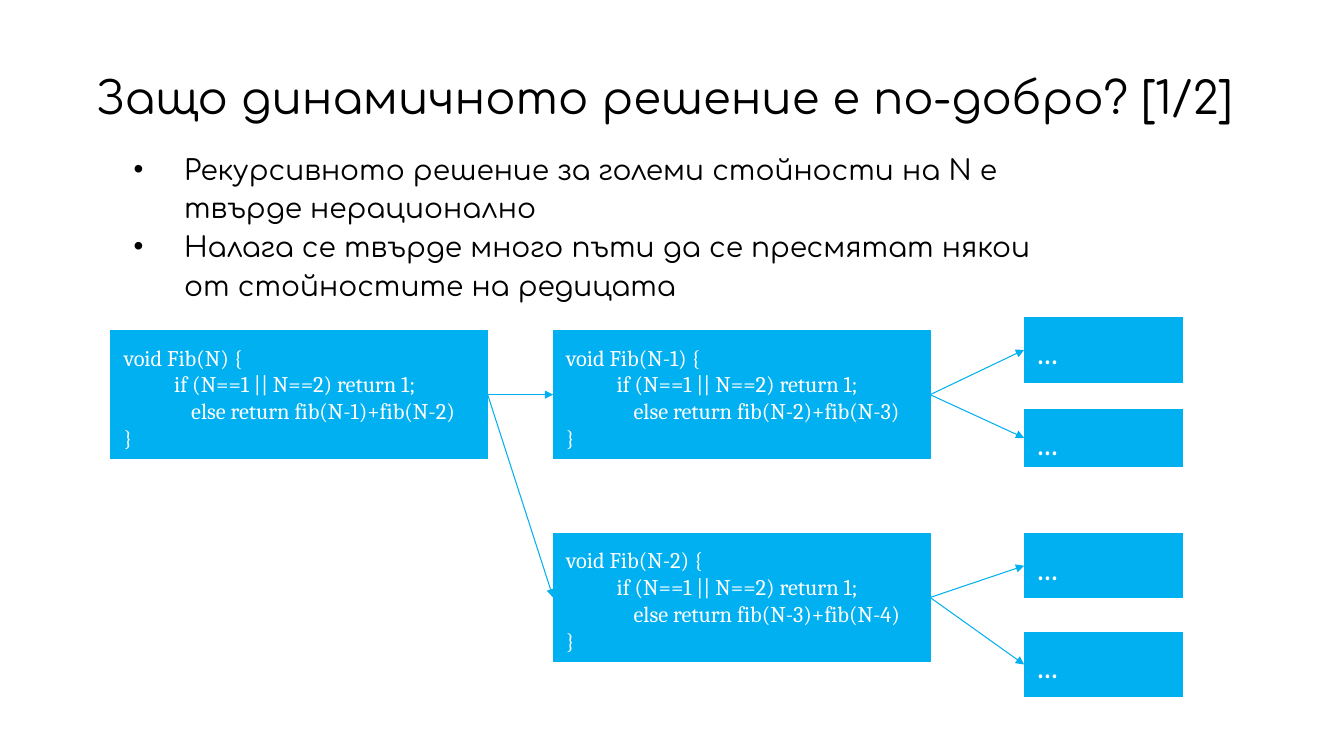
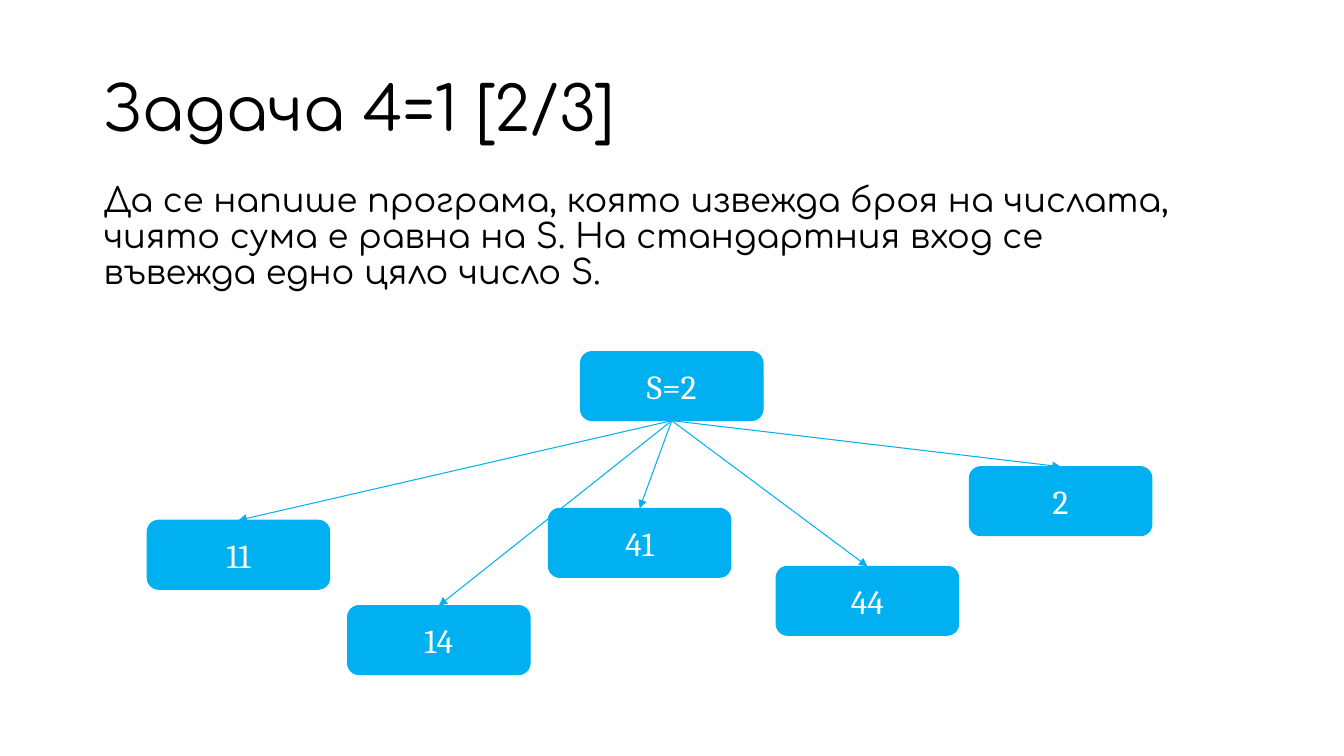
from lxml import etree
from pptx import Presentation
from pptx.dml.color import RGBColor
from pptx.enum.shapes import MSO_CONNECTOR, MSO_SHAPE
from pptx.enum.text import MSO_ANCHOR, PP_ALIGN
from pptx.oxml.ns import qn
from pptx.util import Cm, Pt

RECT, ROUND = MSO_SHAPE.RECTANGLE, MSO_SHAPE.ROUNDED_RECTANGLE
STRAIGHT = MSO_CONNECTOR.STRAIGHT
TOP, MIDDLE = MSO_ANCHOR.TOP, MSO_ANCHOR.MIDDLE
LEFT, CENTER = PP_ALIGN.LEFT, PP_ALIGN.CENTER
SITE_TOP, SITE_LEFT, SITE_BOTTOM, SITE_RIGHT = range(4)

TEXT_FONT, CODE_FONT = "Comfortaa", "Cambria"
BLACK, WHITE, BLUE = "000000", "FFFFFF", "00B0F0"


def rgb(value):
    return RGBColor.from_string(value)


def set_frame(tf, anchor, dx, dy):
    tf.word_wrap = True
    tf.vertical_anchor = anchor
    tf.margin_left = tf.margin_right = Cm(dx)
    tf.margin_top = tf.margin_bottom = Cm(dy)


def add_paragraph(tf, index, text, size, font, color,
                  align=LEFT, margin=0, indent=0, spacing=1.0, bullet=False):
    p = tf.paragraphs[0] if index == 0 else tf.add_paragraph()
    pPr = p._p.get_or_add_pPr()
    pPr.set("marL", str(Cm(margin)))
    pPr.set("indent", str(Cm(indent)))
    if bullet:
        etree.SubElement(pPr, qn("a:buFont")).set("typeface", "Arial")
        etree.SubElement(pPr, qn("a:buChar")).set("char", "•")
    p.alignment = align
    p.line_spacing = spacing
    r = p.add_run()
    r.text = text
    r.font.size = Pt(size)
    r.font.name = font
    r.font.color.rgb = rgb(color)


def add_text(slide, box, lines, size, anchor=TOP, **style):
    tf = slide.shapes.add_textbox(*map(Cm, box)).text_frame
    set_frame(tf, anchor, 0.3, 0.1)
    for i, line in enumerate(lines):
        add_paragraph(tf, i, line, size, TEXT_FONT, BLACK, **style)


def add_title(slide, box, text, size):
    add_text(slide, box, [text], size, MIDDLE, spacing=0.9)


def add_node(slide, kind, box, lines, size, anchor=TOP, align=LEFT):
    """Blue box; lines are (text, first-line indent) pairs."""
    sp = slide.shapes.add_shape(kind, *map(Cm, box))
    sp.shadow.inherit = False
    sp.fill.solid()
    sp.fill.fore_color.rgb = rgb(BLUE)
    sp.line.color.rgb = rgb(BLUE)
    sp.line.width = Pt(0.75)
    set_frame(sp.text_frame, anchor, 0.33, 0.33)
    for i, (text, indent) in enumerate(lines):
        add_paragraph(sp.text_frame, i, text, size, CODE_FONT, WHITE,
                      align=align, indent=indent)
    return sp


def add_arrow(slide, start, start_site, end, end_site):
    line = slide.shapes.add_connector(STRAIGHT, 0, 0, 0, 0)
    line.begin_connect(start, start_site)
    line.end_connect(end, end_site)
    line.line.color.rgb = rgb(BLUE)
    line.line.width = Pt(0.75)
    etree.SubElement(line.line._get_or_add_ln(), qn("a:tailEnd")).set("type", "triangle")
    etree.SubElement(line._element.spPr, qn("a:effectLst"))


def add_call(slide, x, y, arg, first, second):
    lines = [
        (f"void Fib({arg}) {{", 0),
        ("if (N==1 || N==2) return 1;", 1.27),
        (f"else return fib({first})+fib({second})", 1.7),
        ("}", 0),
    ]
    return add_node(slide, RECT, (x, y, 9.5, 3.23), lines, 16)


def add_call_tree(slide, x, y):
    """Recursive calls, with x, y the corner of the first call."""
    root = add_call(slide, x, y, "N", "N-1", "N-2")
    # Each branch: its offset, its arguments, offset and height of its leaves
    branches = [
        (0, ("N-1", "N-2", "N-3"), [(-0.33, 1.63), (1.98, 1.45)]),
        (5.11, ("N-2", "N-3", "N-4"), [(5.11, 1.63), (7.6, 1.63)]),
    ]
    for dy, args, leaves in branches:
        call = add_call(slide, x + 11.15, y + dy, *args)
        add_arrow(slide, root, SITE_RIGHT, call, SITE_LEFT)
        for leaf_dy, height in leaves:
            leaf = add_node(slide, RECT, (x + 23.02, y + leaf_dy, 4, height),
                            [("...", 0)], 24)
            add_arrow(slide, call, SITE_RIGHT, leaf, SITE_LEFT)


def add_sum_tree(slide, x, y):
    """Ways to start the sum, with x, y the corner of the root."""
    places = [
        ("S=2", 0, 0), ("11", -10.92, 4.25), ("14", -5.87, 6.4),
        ("41", -0.81, 3.95), ("44", 4.93, 5.41), ("2", 9.8, 2.9),
    ]
    root, *children = [
        add_node(slide, ROUND, (x + dx, y + dy, 4.6, 1.74), [(text, 0)], 24, MIDDLE, CENTER)
        for text, dx, dy in places
    ]
    for child in children:
        add_arrow(slide, root, SITE_BOTTOM, child, SITE_TOP)


def build_recursion(slide):
    add_title(slide, (2.13, 1.37, 30.4, 2.29),
              "Защо динамичното решение е по-добро? [1/2]", 32)
    add_text(slide, (2.64, 3.61, 24.54, 3.89), [
        "Рекурсивното решение за големи стойности на N е твърде нерационално",
        "Налага се твърде много пъти да се пресмятат някои от стойностите на редицата",
    ], 20, margin=1.7, indent=-1.27, spacing=1.15, bullet=True)
    add_call_tree(slide, 2.79, 8.33)


def build_task(slide):
    add_title(slide, (2.31, 1.75, 29.57, 2.13), "Задача 4=1 [2/3]", 44)
    add_text(slide, (2.31, 4.52, 27.53, 3.3), [
        "Да се напише програма, която извежда броя на числата, чиято сума е равна на S. "
        "На стандартния вход се въвежда едно цяло число S.",
    ], 24, spacing=0.9)
    add_sum_tree(slide, 14.63, 8.86)


def main():
    prs = Presentation()
    prs.slide_width, prs.slide_height = Cm(33.87), Cm(19.05)
    for build in (build_recursion, build_task):
        build(prs.slides.add_slide(prs.slide_layouts[6]))
    prs.save("out.pptx")


if __name__ == "__main__":
    main()
